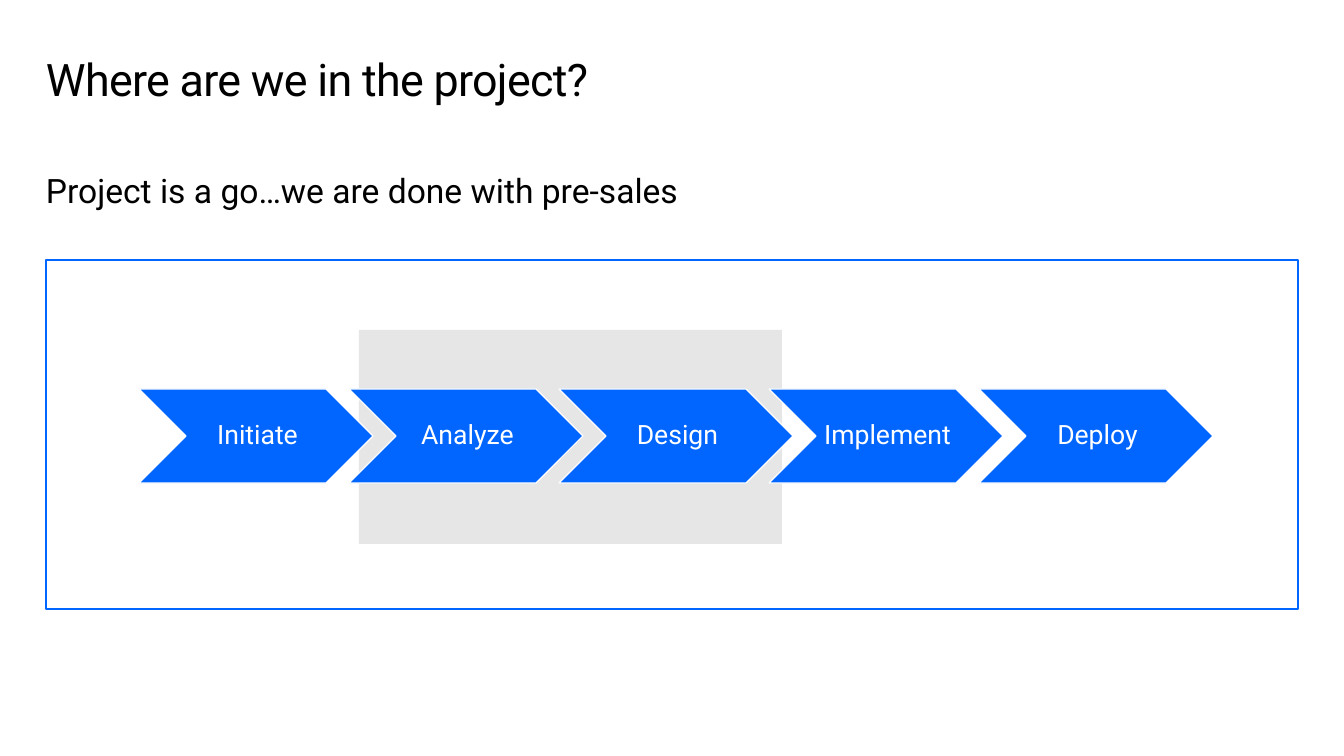
from pptx import Presentation
from pptx import util as u
from pptx.dml.color import RGBColor
from pptx.enum import shapes, text

SCALE = 914400 / 100.8
COLOURS = {"black": "000000", "white": "FFFFFF", "blue": "0066FF", "grey": "E6E6E6"}
STAGES = ["Initiate", "Analyze", "Design", "Implement", "Deploy"]
STAGE_STEP = 210


def px(length):
    return u.Emu(round(length * SCALE))


def colour(name):
    return RGBColor.from_string(COLOURS[name])


def set_all(target, values):
    for name, value in values.items():
        setattr(target, name, value)


def add_text(parent, words, place, size, ink="black", insets=(0, 10, 0, 10),
             anchor=text.MSO_ANCHOR.TOP, tracking=None, **paragraph_format):
    box = parent.shapes.add_textbox(*map(px, place))
    frame = box.text_frame
    sides = ("margin_left", "margin_top", "margin_right", "margin_bottom")
    set_all(frame, {"word_wrap": True, "vertical_anchor": anchor,
                    **dict(zip(sides, map(px, insets)))})
    para = frame.paragraphs[0]
    set_all(para, paragraph_format)
    span = para.add_run()
    span.text = words
    set_all(span.font, {"name": "Roboto", "size": u.Pt(size)})
    span.font.color.rgb = colour(ink)
    if tracking is not None:
        span.font._element.set("spc", str(tracking))


def add_figure(parent, kind, place, fill=None, line=None, weight=1.5):
    figure = parent.shapes.add_shape(kind, *map(px, place))
    figure.shadow.inherit = False
    if fill:
        figure.fill.solid()
        figure.fill.fore_color.rgb = colour(fill)
    else:
        figure.fill.background()
    if line:
        figure.line.color.rgb = colour(line)
        figure.line.width = u.Pt(weight)
    else:
        figure.line.fill.background()


def add_process(page, left, top):
    process = page.shapes.add_group_shape()
    for index, stage in enumerate(STAGES):
        start = left + index * STAGE_STEP
        add_figure(process, shapes.MSO_SHAPE.CHEVRON, (start, top, 234, 94),
                   "blue", "white", 0.85)
        add_text(process, stage, (start + 46, top, 140, 94), 19, "white",
                 (8, 3, 3, 3), text.MSO_ANCHOR.MIDDLE,
                 alignment=text.PP_ALIGN.CENTER, line_spacing=0.9)


def main():
    deck = Presentation()
    set_all(deck, {"slide_width": px(1344), "slide_height": px(756)})
    page = deck.slides.add_slide(deck.slide_layouts[6])
    add_text(page, "Where are we in the project?", (46, 48, 1252, 81), 32,
             insets=(0, 10, 16, 10), tracking=-50, line_spacing=0.9)
    add_text(page, "Project is a go…we are done with pre-sales",
             (46, 160, 1252, 78), 24, space_after=u.Pt(4))
    add_figure(page, shapes.MSO_SHAPE.RECTANGLE, (46, 260, 1252, 349), line="blue")
    add_figure(page, shapes.MSO_SHAPE.RECTANGLE, (359, 330, 423, 214), fill="grey")
    add_process(page, 139, 389)
    deck.save("out.pptx")


if __name__ == "__main__":
    main()
